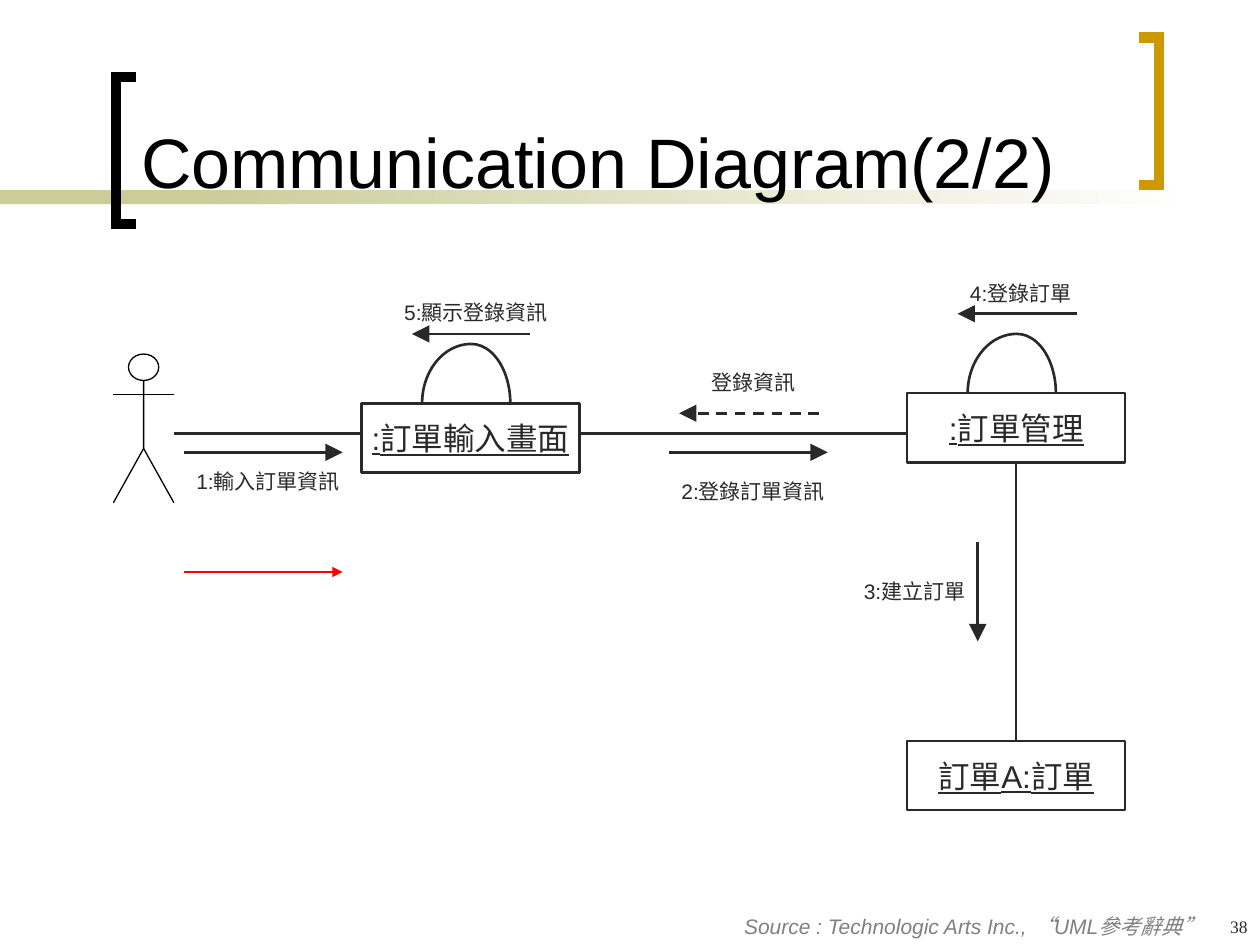
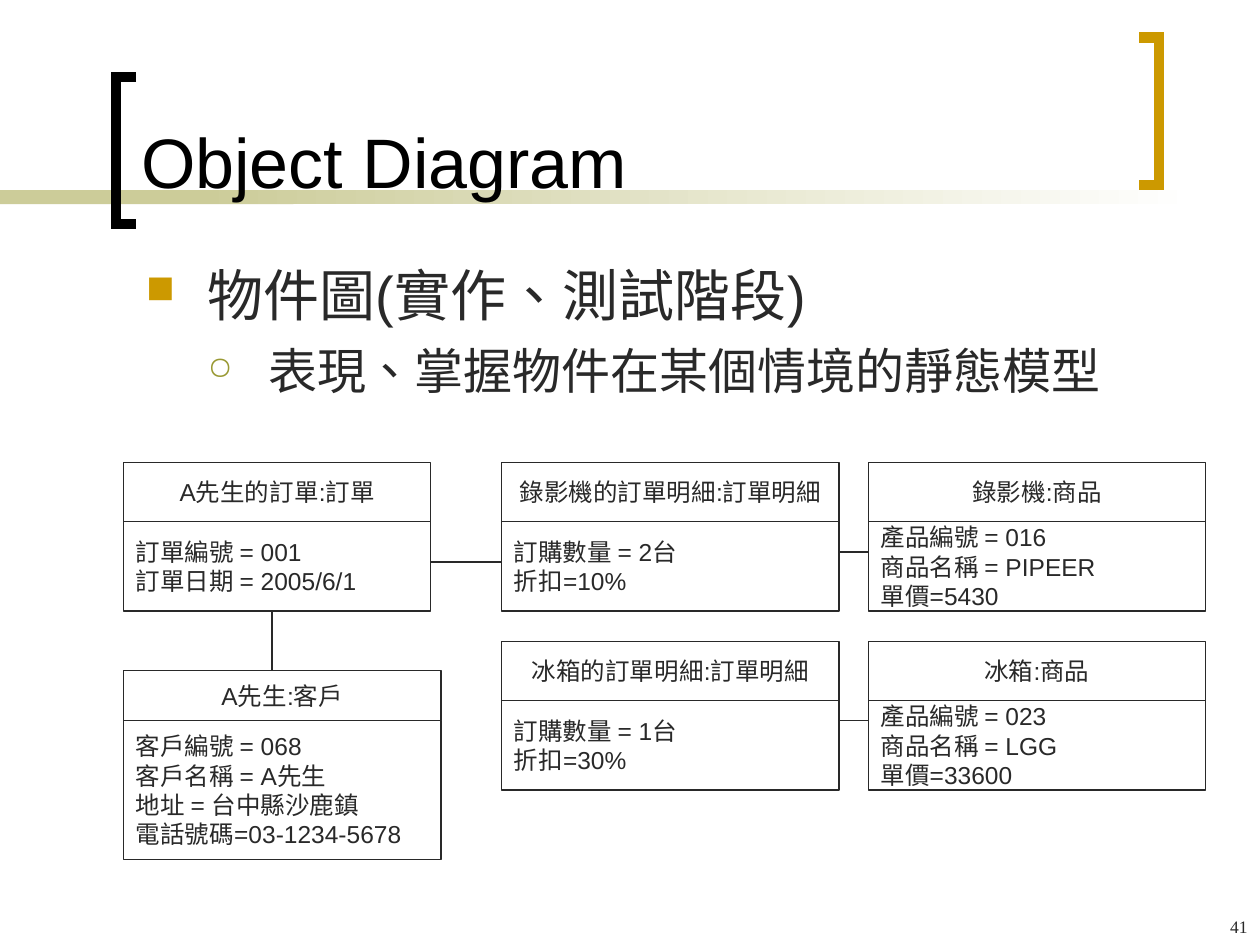
from typing import NamedTuple

from lxml import etree
from pptx import Presentation
from pptx import util as u
from pptx.dml.color import RGBColor
from pptx.enum import dml, shapes, text
from pptx.oxml import ns

INK = {"text": "292929", "black": "000000", "white": "FFFFFF", "gold": "CC9900",
       "sand": "CCCC99", "olive": "999933", "gray": "808080", "red": "FF0000"}
SANS, SERIF = "Arial", "Times New Roman"
WIDE, HIGH = u.Inches(10), u.Inches(7.5)
COL, ROW = WIDE / 100, HIGH / 75
LEFT, MID, RIGHT = text.PP_ALIGN.LEFT, text.PP_ALIGN.CENTER, text.PP_ALIGN.RIGHT
KIND = shapes.MSO_SHAPE


class Box(NamedTuple):
    """A region in grid columns and rows."""
    x: float
    y: float
    w: float
    h: float

    def sub(self, x, y, w=0, h=0):
        return Box(self.x + x, self.y + y, w, h)

    def span(self):
        return [round(n) for n in (self.x * COL, self.y * ROW, self.w * COL, self.h * ROW)]

    def spot(self, x, y):
        return tuple(self.sub(x, y).span()[:2])


PAGE = Box(0, 0, 100, 75)


# Shared helpers
def rgb(name):
    return RGBColor.from_string(INK[name])


def node(host, tag, **attrs):
    return etree.SubElement(host, ns.qn(tag), attrs)


def paint(part, fill=None, line=None, width=0.75):
    part.shadow.inherit = False
    if fill:
        part.fill.solid()
        part.fill.fore_color.rgb = rgb(fill)
    else:
        part.fill.background()
    if line:
        part.line.color.rgb = rgb(line)
        part.line.width = u.Pt(width)
    else:
        part.line.fill.background()
    return part


def add_run(para, words, size, ink="text", face=SANS, slant=False, under=False):
    run = para.add_run()
    run.text = words
    font = run.font
    font.size, font.name, font.color.rgb = u.Pt(size), face, rgb(ink)
    if slant:
        font.italic = True
    if under:
        font.underline = True
    return run


def write(frame, lines, size, align=LEFT, **look):
    for i, words in enumerate(lines):
        para = frame.paragraphs[0] if i == 0 else frame.add_paragraph()
        para.alignment = align
        add_run(para, words, size, **look)


def label(slide, box, words, size=12, align=LEFT, **look):
    frame = slide.shapes.add_textbox(*box.span()).text_frame
    frame.word_wrap = True
    write(frame, [words], size, align, **look)


def cell(slide, box, lines, size, align=MID, fill=None, width=0.75, **look):
    part = slide.shapes.add_shape(KIND.RECTANGLE, *box.span())
    paint(part, fill, "text", width)
    frame = part.text_frame
    frame.word_wrap = False
    frame.vertical_anchor = text.MSO_ANCHOR.MIDDLE
    write(frame, lines, size, align, **look)
    return part


def link(slide, start, end, width=1.5, ink="text", head=None, dash=False):
    wire = slide.shapes.add_connector(shapes.MSO_CONNECTOR.STRAIGHT, *start, *end)
    wire.line.color.rgb = rgb(ink)
    wire.line.width = u.Pt(width)
    if dash:
        wire.line.dash_style = dml.MSO_LINE.DASH
    if head:
        node(wire.line._get_or_add_ln(), "a:tailEnd", type="triangle", w=head, len=head)
    node(wire.element.spPr, "a:effectLst")
    return wire


def trace(slide, strokes, ink, width):
    pen = slide.shapes.build_freeform(*strokes[0][0])
    for i, stroke in enumerate(strokes):
        if i:
            pen.move_to(*stroke[0])
        pen.add_line_segments(stroke[1:], close=False)
    part = paint(pen.convert_to_shape(), None, ink, width)
    node(part.line._get_or_add_ln(), "a:miter", lim="800000")


# Slide frame: band, brackets, title, page number
def bracket(slide, box, ink, tip, spine):
    ends = [(tip, 0), (spine, 0), (spine, box.h), (tip, box.h)]
    trace(slide, [[box.spot(*end) for end in ends]], ink, 6)


def band(slide, box):
    solid = slide.shapes.add_shape(KIND.RECTANGLE, *box.sub(0, 0, 23.3, box.h).span())
    paint(solid, "sand")
    fade = slide.shapes.add_shape(KIND.RECTANGLE, *box.sub(15.8, 0, 79.2, box.h).span())
    paint(fade)
    fade.fill.gradient()
    fade.fill.gradient_angle = 0
    for stop, ink in zip(fade.fill.gradient_stops, ("sand", "white")):
        stop.color.rgb = rgb(ink)


def new_slide(deck, title, number):
    slide = deck.slides.add_slide(deck.slide_layouts[5])
    band(slide, PAGE.sub(0, 15.1, 95, 1.1))
    bracket(slide, PAGE.sub(9.2, 6.1, 1.6, 11.7), "black", 1.6, 0)
    bracket(slide, PAGE.sub(90.4, 3, 1.6, 11.7), "gold", 0, 1.6)
    head = slide.shapes.title
    head.left, head.top, head.width, head.height = PAGE.sub(10.2, 1.1, 78.3, 15.5).span()
    frame = head.text_frame
    frame.auto_size = text.MSO_AUTO_SIZE.NONE
    frame.vertical_anchor = text.MSO_ANCHOR.BOTTOM
    write(frame, [title], 40, ink="black")
    head.element.getparent().append(head.element)  # title above the band
    label(slide, PAGE.sub(79.2, 72.2, 20.8, 2.8), number, 10, RIGHT, face=SERIF)
    return slide


# Communication diagram
def actor(slide, box):
    mid = box.w / 2
    strokes = [[(0, 3.2), (box.w, 3.2)],
               [(mid, 2.1), (mid, 7.5), (0, box.h)],
               [(mid, 7.5), (box.w, box.h)]]
    trace(slide, [[box.spot(*dot) for dot in stroke] for stroke in strokes], "black", 0.75)
    face = slide.shapes.add_shape(KIND.OVAL, *box.sub(mid - 1.2, 0, 2.4, 2.1).span())
    paint(face, None, "black")


def loop(slide, box):
    """Self call: two quarter arcs; angles are in units of 5/3 degrees."""
    for x, w, start, end in ((0, 7.8, 108, 162), (0.8, 6.2, 162, 0)):
        arc = slide.shapes.add_shape(KIND.ARC, *box.sub(x, 0, w, 2 * box.h).span())
        arc.adjustments[0], arc.adjustments[1] = start, end
        paint(arc, None, "text", 1.5)


def calls(slide, box):
    actor(slide, box.sub(0, 6.1, 4.8, 11.8))

    # Objects and their self calls
    parts = []
    for x, y, name, own in ((19.7, 10, ":訂單輸入畫面", True),
                            (63, 9.2, ":訂單管理", True),
                            (63, 36.8, "訂單A:訂單", False)):
        spot = box.sub(x, y, 17.3, 5.5)
        parts.append(cell(slide, spot, [name], 18, fill="white", width=1.5, under=True))
        if own:
            loop(slide, spot.sub(4.8, -4.7, 7, 4.7))

    # Links between objects
    for x, end in ((4.8, 19.7), (37, 63)):
        link(slide, box.spot(x, 12.4), box.spot(end, 12.4))
    wire = link(slide, box.spot(71.65, 36.8), box.spot(71.65, 14.7))
    wire.begin_connect(parts[2], 0)
    wire.end_connect(parts[1], 2)

    # Message arrows
    for start, end, look in (((5.6, 13.9), (18.2, 13.9), {}),
                             ((44.1, 13.9), (56.7, 13.9), {}),
                             ((33.1, 4.5), (23.7, 4.5), {}),
                             ((76.5, 2.9), (67, 2.9), {}),
                             ((68.6, 21), (68.6, 28.9), {}),
                             ((56, 10.8), (44.9, 10.8), {"dash": True}),
                             ((5.6, 23.4), (18.2, 23.4), {"ink": "red", "head": "med"})):
        link(slide, box.spot(*start), box.spot(*end), **{"head": "lg", **look})

    # Message names
    for x, y, w, words, align in ((5.6, 14.7, 14.2, "1:輸入訂單資訊", LEFT),
                                  (44.1, 15.5, 16.5, "2:登錄訂單資訊", LEFT),
                                  (56, 23.4, 12.6, "3:建立訂單", RIGHT),
                                  (67, -0.2, 12.6, "4:登錄訂單", LEFT),
                                  (46.5, 6.8, 12.6, "登錄資訊", LEFT),
                                  (22.1, 1.3, 15.7, "5:顯示登錄資訊", LEFT)):
        label(slide, box.sub(x, y, w, 3), words, align=align)


# Object diagram
def points(slide, box):
    frame = slide.shapes.add_textbox(*box.span()).text_frame
    frame.word_wrap = True
    rows = (("物件圖(實作、測試階段)", 32, 0.49, 0.49, "■", "gold", 70),
            ("表現、掌握物件在某個情境的靜態模型", 28, 0.97, 0.48, "○", "olive", 65))
    for i, (words, size, left, hang, mark, ink, share) in enumerate(rows):
        para = frame.add_paragraph() if i else frame.paragraphs[0]
        props = para._p.get_or_add_pPr()
        props.set("marL", str(u.Inches(left)))
        props.set("indent", str(-u.Inches(hang)))
        node(node(props, "a:buClr"), "a:srgbClr", val=INK[ink])
        node(props, "a:buSzPct", val=str(share * 1000))
        node(props, "a:buChar", char=mark)
        if i:
            para.level = i
            para.space_before = u.Pt(7)
        run = add_run(para, words, size)
        run._r.get_or_add_rPr().set("lang", "zh-TW")  # centred commas


def card(slide, box, name, facts, top=4.7):
    cell(slide, box.sub(0, 0, box.w, top), [name], 14)
    cell(slide, box.sub(0, top, box.w, box.h - top), facts, 14, LEFT)


def objects(slide, box):
    card(slide, box.sub(0, 0, 24.4, 11.8), "A先生的訂單:訂單",
         ["訂單編號 = 001", "訂單日期 = 2005/6/1"])
    card(slide, box.sub(0, 16.5, 25.2, 15), "A先生:客戶",
         ["客戶編號 = 068", "客戶名稱 = A先生", "地址 = 台中縣沙鹿鎮",
          "電話號碼=03-1234-5678"], 4)

    # Order lines and their goods, one row each
    goods = (("錄影機", "2台", "10%", "016", "PIPEER", "5430"),
             ("冰箱", "1台", "30%", "023", "LGG", "33600"))
    for i, (name, count, cut, code, brand, price) in enumerate(goods):
        y = 14.2 * i
        card(slide, box.sub(30, y, 26.8, 11.8), f"{name}的訂單明細:訂單明細",
             [f"訂購數量 = {count}", f"折扣={cut}"])
        card(slide, box.sub(59.1, y, 26.8, 11.8), f"{name}:商品",
             [f"產品編號 = {code}", f"商品名稱 = {brand}", f"單價={price}"])

    # Links between objects
    for start, end in (((11.8, 11.8), (11.8, 16.5)), ((24.4, 7.9), (30, 7.9)),
                       ((56.8, 7.1), (59.1, 7.1)), ((56.8, 20.5), (59.1, 20.5))):
        link(slide, box.spot(*start), box.spot(*end), 0.75)


def main():
    deck = Presentation()
    deck.slide_width, deck.slide_height = WIDE, HIGH

    slide = new_slide(deck, "Communication Diagram(2/2)", "38")
    calls(slide, PAGE.sub(9, 22, 80.3, 42.3))
    label(slide, PAGE.sub(7.5, 72, 89, 3), "Source : Technologic Arts Inc., “UML參考辭典”",
          align=RIGHT, ink="gray", slant=True)

    slide = new_slide(deck, "Object Diagram", "41")
    points(slide, PAGE.sub(10.6, 20.2, 83.8, 14.3))
    objects(slide, PAGE.sub(9.8, 36.7, 85.9, 31.5))

    deck.save("out.pptx")


if __name__ == "__main__":
    main()
